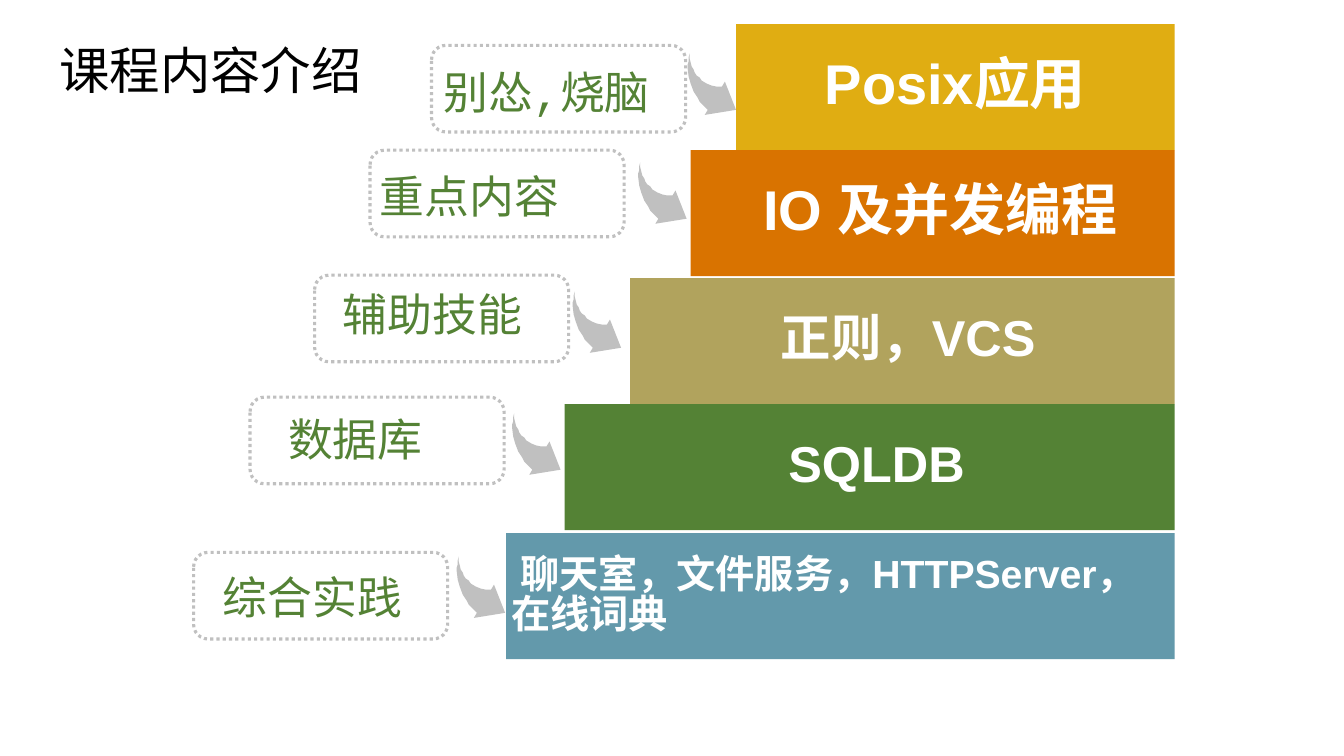
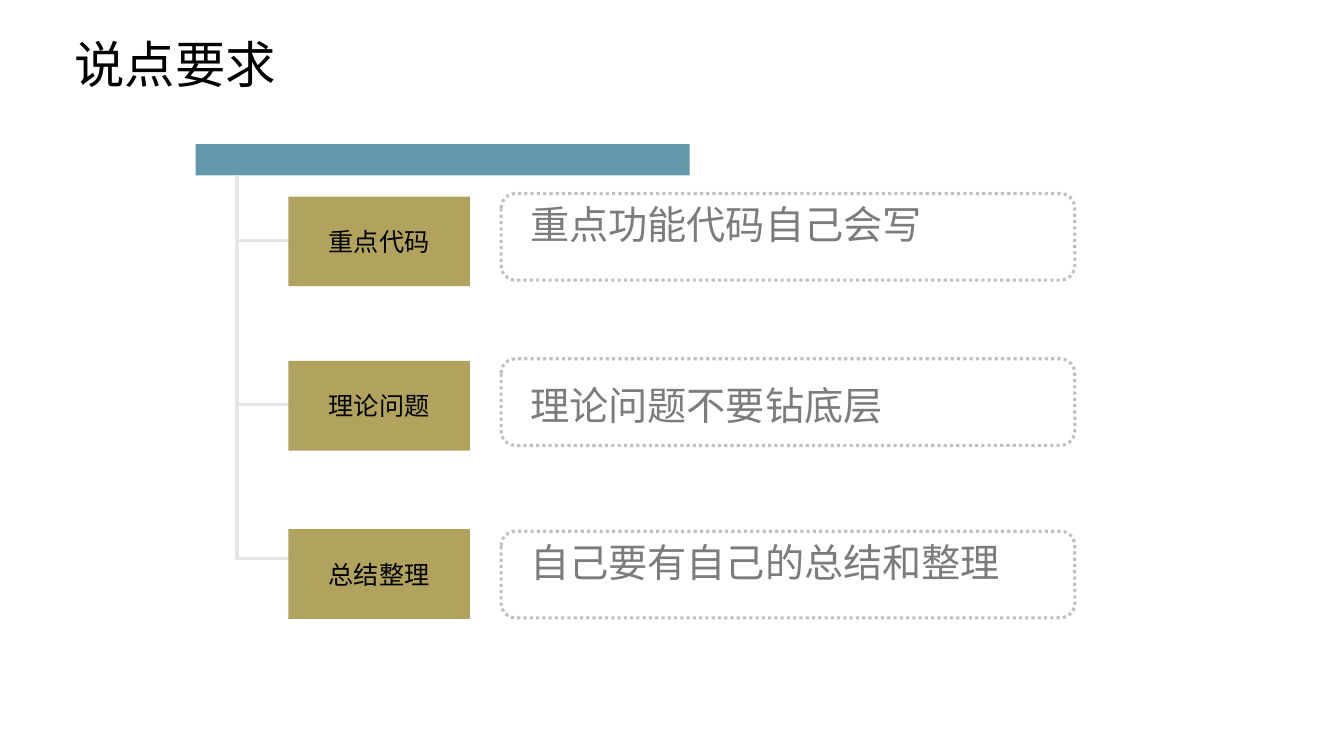
"""Builds two course slides: a staircase of topics and a tree of requirements."""
from lxml import etree
from pptx import Presentation
from pptx import util as u
from pptx.dml.color import RGBColor
from pptx.enum import dml, shapes, text
from pptx.oxml.ns import qn

COLORS = dict(blue="6399AB", sand="B1A35D", orange="D97300", gold="E0AD12", green="548235",
              frame="C0C0C0", branch="E7E6E6", gray="7C7C7C", white="FFFFFF", black="000000")
SLIDE_W, SLIDE_H = 13.33, 7.5
STAIR_RIGHT, STEP_H = 11.65, 1.25
FRAME_W, FRAME_H = 2.52, 0.86

TITLES = [("课程内容介绍", (0.49, 0.34, 3.23, 0.71)), ("说点要求", (0.64, 0.28, 2.22, 0.71))]

STEPS = [
    dict(topic="Posix应用", size=40, fill="gold", at=(7.3, 0.24), arrow=(6.82, 0.53),
         note="别怂,烧脑", frame=(4.28, 0.45), note_at=(4.3, 0.59)),
    dict(topic=" IO 及并发编程", size=40, fill="orange", at=(6.85, 1.49), arrow=(6.33, 1.61),
         note="重点内容", frame=(3.67, 1.49), note_at=(3.67, 1.62)),
    dict(topic=" 正则，VCS", size=36, fill="sand", at=(6.25, 2.76), arrow=(5.68, 2.89),
         note="辅助技能", frame=(3.12, 2.73), note_at=(3.3, 2.8)),
    dict(topic=" SQLDB", size=36, fill="green", at=(5.6, 4.01), arrow=(5.08, 4.1),
         note="数据库", frame=(2.48, 3.94), note_at=(2.76, 4.04)),
    dict(topic=" 聊天室，文件服务，HTTPServer，在线词典", size=28, fill="blue", at=(5.02, 5.29),
         arrow=(4.53, 5.52), note="综合实践", frame=(1.92, 5.48), note_at=(2.11, 5.6),
         align="LEFT"),
]

ARROW = [(20, 56), (17, 61), (48, 56), (37, 28), (34, 33), (29, 33), (24, 32), (19, 30),
         (14, 27), (12, 24), (9, 22), (7, 19), (6, 16), (4, 13), (3, 9), (2, 5), (2, 0),
         (1, 4), (1, 8), (0, 11), (0, 15), (1, 23), (3, 30), (6, 38), (8, 41), (10, 44),
         (12, 48), (15, 51)]

RULES = [
    dict(name="重点代码", detail="重点功能代码自己会写", box=1.95, frame=1.92, detail_y=1.94, branch=2.39),
    dict(name="理论问题", detail="理论问题不要钻底层", box=3.58, frame=3.56, detail_y=3.73, branch=4.01),
    dict(name="总结整理", detail="自己要有自己的总结和整理", box=5.25, frame=5.27, detail_y=5.29, branch=5.54),
]
TRUNK_X, TRUNK_TOP, BOX_X = 2.35, 1.74, 2.86


def rgb(name):
    return RGBColor.from_string(COLORS[name])


def inches(values):
    return [u.Inches(v) for v in values]


def write(sp, words, size, color, font, bold=False, align="LEFT", spacing=None):
    p = sp.text_frame.paragraphs[0]
    p.alignment = text.PP_ALIGN[align]
    p.line_spacing = spacing
    r = p.add_run()
    r.text = words
    r.font.size, r.font.name, r.font.bold = u.Pt(size), font, bold
    r.font.color.rgb = rgb(color)


def label(s, words, at, size, color, font="Courier New", wrap=True):
    sp = s.shapes.add_textbox(*inches(at))
    sp.text_frame.word_wrap = wrap
    sp.text_frame.auto_size = text.MSO_AUTO_SIZE.SHAPE_TO_FIT_TEXT
    write(sp, words, size, color, font)


def paint(sp, fill):
    sp.shadow.inherit = False
    sp.fill.solid()
    sp.fill.fore_color.rgb = rgb(fill)
    sp.line.fill.background()


def block(s, at, fill, words="", **style):
    sp = s.shapes.add_shape(shapes.MSO_SHAPE.RECTANGLE, *inches(at))
    paint(sp, fill)
    tf = sp.text_frame
    tf.word_wrap = True
    tf.vertical_anchor = text.MSO_ANCHOR.MIDDLE
    tf.margin_left = tf.margin_right = tf.margin_top = tf.margin_bottom = u.Inches(0.05)
    if words:
        write(sp, words, font="Arial", **style)


def dotted_frame(s, at):
    sp = s.shapes.add_shape(shapes.MSO_SHAPE.ROUNDED_RECTANGLE, *inches(at))
    sp.shadow.inherit = False
    sp.fill.background()
    sp.line.color.rgb = rgb("frame")
    sp.line.width = u.Pt(2.25)
    sp.line.dash_style = dml.MSO_LINE.ROUND_DOT


def curved_arrow(s, at):
    outline = s.shapes.build_freeform(*ARROW[0], scale=u.Inches(0.01))
    outline.add_line_segments(ARROW[1:], close=True)
    paint(outline.convert_to_shape(*inches(at)), "frame")


def branch(s, x1, y1, x2, y2):
    line = s.shapes.add_connector(shapes.MSO_CONNECTOR.STRAIGHT, *inches((x1, y1, x2, y2)))
    line.line.color.rgb = rgb("branch")
    line.line.width = u.Pt(2.25)
    etree.SubElement(line._element.spPr, qn("a:effectLst"))


def new_slide(prs, title, at):
    s = prs.slides.add_slide(prs.slide_layouts[6])
    label(s, title, at, 36, "black", font="Calibri", wrap=False)
    return s


def staircase(s):
    for step in STEPS:
        x, y = step["at"]
        block(s, (x, y, STAIR_RIGHT - x, STEP_H), step["fill"], step["topic"], size=step["size"],
              color="white", bold=True, align=step.get("align", "CENTER"), spacing=0.85)
        curved_arrow(s, step["arrow"])
        dotted_frame(s, (*step["frame"], FRAME_W, FRAME_H))
        label(s, step["note"], (*step["note_at"], 2.6, 0.64), 32, "green")


def requirements(s):
    block(s, (1.94, 1.43, 4.9, 0.31), "blue")
    branch(s, TRUNK_X, TRUNK_TOP, TRUNK_X, RULES[-1]["branch"] + 0.02)
    for rule in RULES:
        branch(s, TRUNK_X, rule["branch"], BOX_X + 0.33, rule["branch"])
        block(s, (BOX_X, rule["box"], 1.8, 0.89), "sand", rule["name"], size=18,
              color="black", align="CENTER")
        dotted_frame(s, (4.97, rule["frame"], 5.69, FRAME_H))
        label(s, rule["detail"], (5.16, rule["detail_y"], 5.4, 0.57), 28, "gray")


def main():
    prs = Presentation()
    prs.slide_width, prs.slide_height = inches((SLIDE_W, SLIDE_H))
    for (title, at), fill_in in zip(TITLES, (staircase, requirements)):
        fill_in(new_slide(prs, title, at))
    prs.save("out.pptx")


if __name__ == "__main__":
    main()
